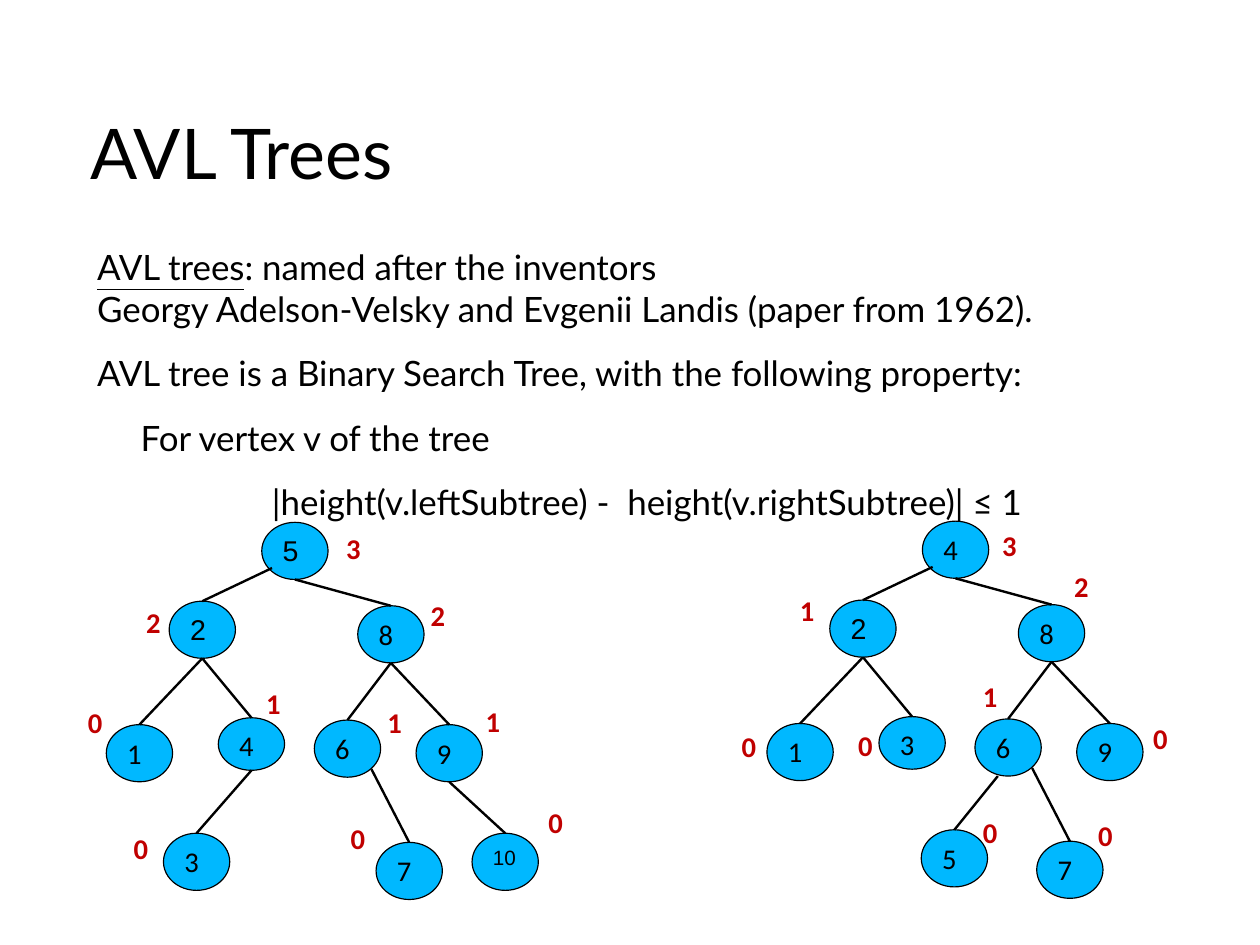
import pptx
import pptx.util
import pptx.dml.color
import pptx.enum.shapes
import pptx.enum.text
import pptx.oxml.ns
import lxml.etree

Inches = pptx.util.Inches
Pt = pptx.util.Pt

COLORS = {"text": "000000", "node": "00B8FF", "height": "C00000"}
CM_PER_INCH = 2.54
NODE_WIDTH = 0.58
LABEL_WIDTH, LABEL_HEIGHT = 0.34, 0.38

TITLE_FONT = {"name": "Lato", "size": Pt(44)}
BODY_FONT = {"name": "Lato", "size": Pt(22)}
HEIGHT_FONT = {"name": "Calibri", "size": Pt(18), "bold": True}
FRAME_INSETS = {"margin_left": 0, "margin_right": 0, "margin_bottom": 0, "word_wrap": True}

SLOTS = {
    "root": (1.36, 0, 0.5, None, None),
    "left": (0.55, 0.69, 0.5, "root", (0.09, 0.4)),
    "right": (2.2, 0.73, 0.5, "root", (0.29, 0.5)),
    "left.left": (0, 1.77, 0.5, "left", (0.29, 0.5)),
    "left.right": (0.98, 1.71, 0.46, "left", (0.29, 0.5)),
    "right.left": (1.82, 1.73, 0.5, "right", (0.29, 0.5)),
    "right.right": (2.71, 1.77, 0.5, "right", (0.29, 0.5)),
    "left.right.left": (0.5, 2.72, 0.5, "left.right", (0.29, 0.46)),
    "right.left.left": (1.35, 2.7, 0.5, "right.left", (0.2, 0.5)),
    "right.left.right": (2.36, 2.8, 0.5, "right.left", (0.5, 0.43)),
    "right.right.right": (3.2, 2.72, 0.5, "right.right", (0.29, 0.5)),
}

FIRST_TREE = [
    ("root", "5", "Arial", 18, "3", 0.64, 0.03),
    ("left", "2", "Arial", 18, "2", -0.3, -0.02),
    ("right", "8", "Calibri", 18, "2", 0.54, -0.12),
    ("left.left", "1", "Calibri", 18, "0", -0.26, -0.22),
    ("left.right", "4", "Calibri", 18, "1", 0.32, -0.33),
    ("right.left", "6", "Calibri", 18, "1", 0.54, -0.18),
    ("right.right", "9", "Calibri", 18, "1", 0.51, -0.23),
    ("left.right.left", "3", "Calibri", 18, "0", -0.36, -0.07),
    ("right.left.right", "7", "Calibri", 18, "0", -0.32, -0.24),
    ("right.right.right", "10", "Arial", 13, "0", 0.57, -0.3),
]
SECOND_TREE = [
    ("root", "4", "Calibri", 18, "3", 0.6, 0.01),
    ("left", "2", "Arial", 18, "1", -0.36, -0.11),
    ("right", "8", "Calibri", 18, "2", 0.39, -0.36),
    ("left.left", "1", "Calibri", 18, "0", -0.32, 0),
    ("left.right", "3", "Calibri", 18, "0", -0.28, 0.05),
    ("right.left", "6", "Calibri", 18, "1", -0.03, -0.4),
    ("right.right", "9", "Calibri", 18, "0", 0.57, -0.07),
    ("right.left.left", "5", "Calibri", 18, "0", 0.44, -0.18),
    ("right.left.right", "7", "Calibri", 18, "0", 0.44, -0.25),
]

LEFT = pptx.enum.text.PP_ALIGN.LEFT
CENTER = pptx.enum.text.PP_ALIGN.CENTER
BODY = [
    (0.06, LEFT, [("AVL trees", True), (": named after the inventors", False), None,
                  ("Georgy Adelson-Velsky and Evgenii Landis (paper from 1962).", False)]),
    (0.06, LEFT, [("AVL tree is a Binary Search Tree, with the following property:", False)]),
    (0.44, LEFT, [("For vertex v of the tree", False)]),
    (0.06, CENTER, [("|height(v.leftSubtree) -  height(v.rightSubtree)| ≤ 1", False)]),
]


def color(name):
    """Return the named colour."""
    return pptx.dml.color.RGBColor.from_string(COLORS[name])


def apply_format(target, values):
    """Set each attribute in values on target."""
    for name, value in values.items():
        setattr(target, name, value)


def add_run(paragraph, text, font, color_name="text"):
    """Append a formatted run to a paragraph."""
    run = paragraph.add_run()
    run.text = text
    apply_format(run.font, font)
    run.font.color.rgb = color(color_name)


def add_text_frame(slide, box, values):
    """Add a text box and return its formatted text frame."""
    frame = slide.shapes.add_textbox(*map(Inches, box)).text_frame
    apply_format(frame, values)
    return frame


def draw_title(slide, box):
    """Place the slide title in the box."""
    middle = pptx.enum.text.MSO_ANCHOR.MIDDLE
    frame = add_text_frame(slide, box, {
        **FRAME_INSETS, "margin_top": Inches(0.04), "vertical_anchor": middle})
    add_run(frame.paragraphs[0], "AVL Trees", TITLE_FONT)


def draw_body(slide, box):
    """Place the definition paragraphs in the box."""
    frame = add_text_frame(slide, box, {**FRAME_INSETS, "margin_top": Inches(0.02)})
    for index, (indent, alignment, pieces) in enumerate(BODY):
        paragraph = frame.add_paragraph() if index else frame.paragraphs[0]
        apply_format(paragraph, {"alignment": alignment, "space_after": Pt(14.2)})
        paragraph._p.get_or_add_pPr().set("marL", str(Inches(indent)))
        for piece in pieces:
            if piece is None:
                paragraph.add_line_break()
            else:
                text, underline = piece
                add_run(paragraph, text, {**BODY_FONT, "underline": underline})


def draw_edge(slide, start, end):
    """Draw a black line between two points."""
    connector = slide.shapes.add_connector(
        pptx.enum.shapes.MSO_CONNECTOR.STRAIGHT, *map(Inches, start + end))
    connector.line.width = Pt(1.5)
    connector.line.color.rgb = color("text")
    lxml.etree.SubElement(connector._element.spPr, pptx.oxml.ns.qn("a:effectLst"))


def draw_node(slide, box, key, font):
    """Draw one tree vertex with its key."""
    shape = slide.shapes.add_shape(pptx.enum.shapes.MSO_SHAPE.OVAL, *map(Inches, box))
    shape.shadow.inherit = False
    shape.fill.solid()
    shape.fill.fore_color.rgb = color("node")
    shape.line.color.rgb = color("text")
    shape.line.width = Pt(0.75)
    shape.text_frame.vertical_anchor = pptx.enum.text.MSO_ANCHOR.TOP
    paragraph = shape.text_frame.paragraphs[0]
    apply_format(paragraph, {"alignment": LEFT, "line_spacing": 0.93})
    add_run(paragraph, key, font)


def draw_tree(slide, origin, nodes):
    """Draw a tree with subtree heights from its top left corner."""
    left, top = origin
    for slot, key, font_name, size, height, label_x, label_y in nodes:
        x, y, node_height, parent, exit_point = SLOTS[slot]
        x, y = left + x, top + y
        draw_node(slide, (x, y, NODE_WIDTH, node_height), key,
                  {"name": font_name, "size": Pt(size)})
        if parent:
            parent_x, parent_y = SLOTS[parent][:2]
            start = (left + parent_x + exit_point[0], top + parent_y + exit_point[1])
            draw_edge(slide, start, (x + NODE_WIDTH / 2, y))
        label_box = (x + label_x, y + label_y, LABEL_WIDTH, LABEL_HEIGHT)
        frame = add_text_frame(slide, label_box, {"word_wrap": False})
        add_run(frame.paragraphs[0], height, HEIGHT_FONT, "height")


def main():
    """Build and save the slide."""
    presentation = pptx.Presentation()
    presentation.slide_width = Inches(28 / CM_PER_INCH)
    presentation.slide_height = Inches(21 / CM_PER_INCH)
    slide = presentation.slides.add_slide(presentation.slide_layouts[6])
    draw_title(slide, (0.79, 0.62, 9.25, 1.37))
    draw_body(slide, (0.79, 2.13, 9.68, 5.26))
    draw_tree(slide, (0.93, 4.57), FIRST_TREE)
    draw_tree(slide, (6.71, 4.56), SECOND_TREE)
    presentation.save("out.pptx")


if __name__ == "__main__":
    main()
